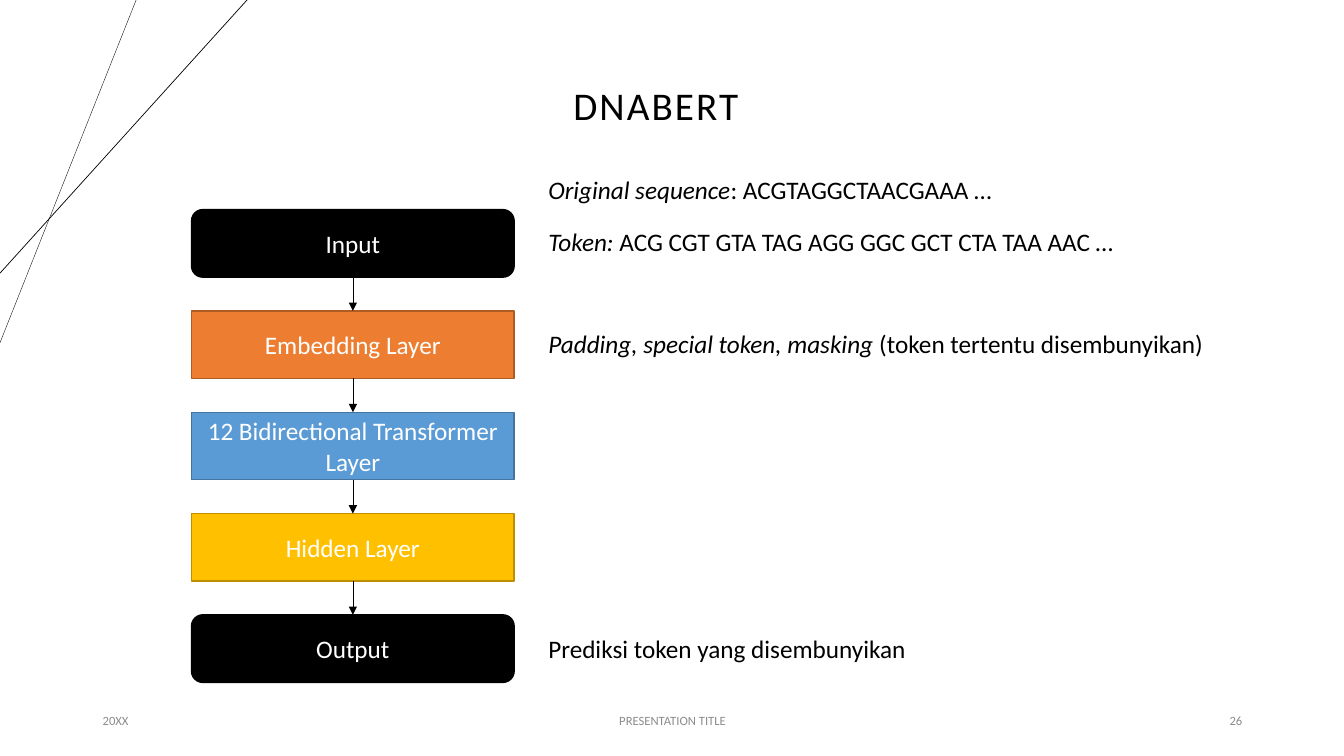
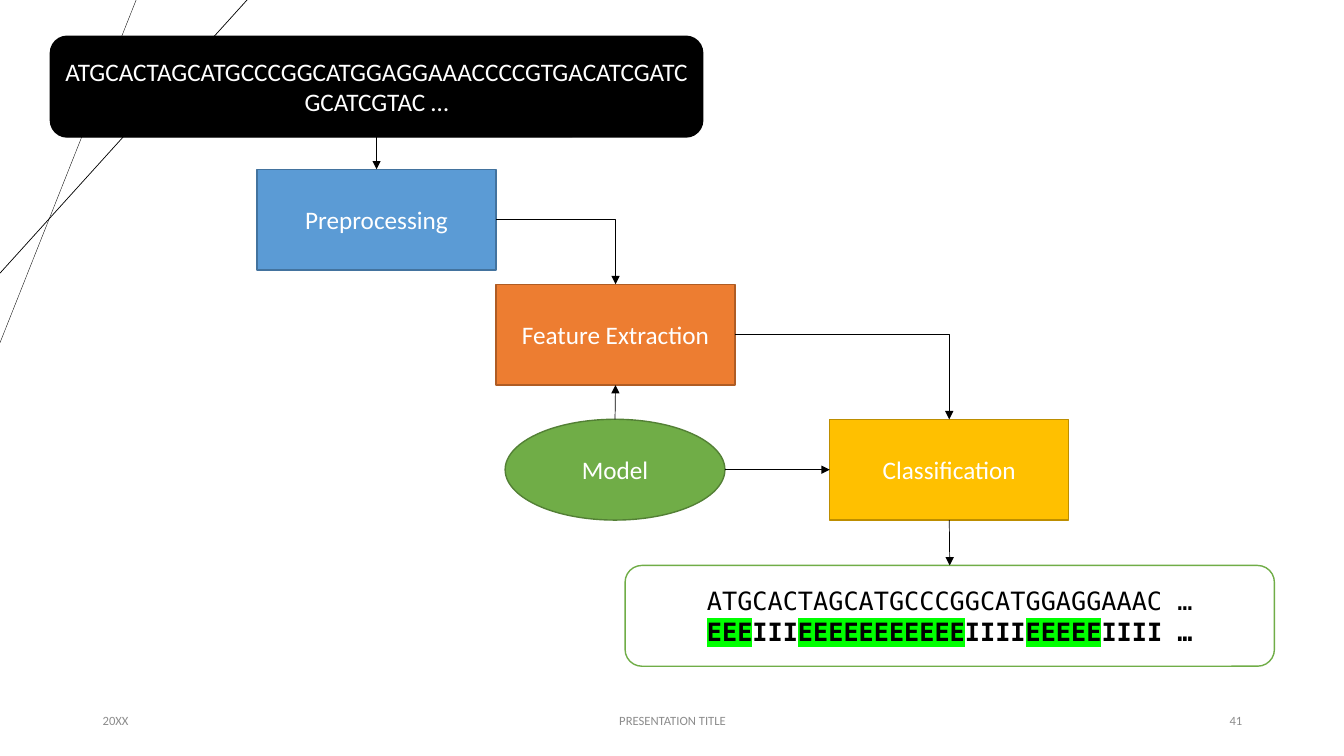
from lxml import etree
from pptx import Presentation
from pptx.dml.color import RGBColor
from pptx.enum import shapes, text
from pptx.oxml import ns
from pptx.util import Inches, Pt

# Shared style
BLACK = RGBColor(0x00, 0x00, 0x00)
WHITE = RGBColor(0xFF, 0xFF, 0xFF)
GREY = RGBColor(0x8C, 0x8C, 0x8C)
ORANGE = RGBColor(0xED, 0x7D, 0x31)
BLUE = RGBColor(0x5B, 0x9B, 0xD5)
GOLD = RGBColor(0xFF, 0xC0, 0x00)
GREEN = RGBColor(0x70, 0xAD, 0x47)
EDGES = {
    BLACK: BLACK,
    ORANGE: RGBColor(0xAF, 0x5C, 0x24),
    BLUE: RGBColor(0x43, 0x73, 0x9E),
    GOLD: RGBColor(0xBD, 0x8E, 0x00),
    GREEN: RGBColor(0x53, 0x80, 0x35),
    WHITE: GREEN,
}
MARK = "00FF00"
SANS, MONO = "Calibri", "DejaVu Sans Mono"
LEFT, CENTER, RIGHT = text.PP_ALIGN.LEFT, text.PP_ALIGN.CENTER, text.PP_ALIGN.RIGHT
RECT = shapes.MSO_SHAPE.RECTANGLE
ROUND = shapes.MSO_SHAPE.ROUNDED_RECTANGLE
OVAL = shapes.MSO_SHAPE.OVAL
TOP_SIDE, LEFT_SIDE, BOTTOM_SIDE, RIGHT_SIDE = range(4)

# Corner lines and footer fields of every slide
CORNER_LINES = [((1.35, 0), (0, 3.4), 0.25), ((2.45, 0), (0, 2.71), 0.5)]
FOOTER = [(0.92, 3, LEFT, "20XX"), (4.42, 4.5, CENTER, "PRESENTATION TITLE")]
NUMBER_FIELD = (9.42, 3, RIGHT)

# Slide 1: layers from top to bottom, and captions as (top, spans)
LAYERS = [
    ("Input", ROUND, BLACK),
    ("Embedding Layer", RECT, ORANGE),
    ("12 Bidirectional Transformer Layer", RECT, BLUE),
    ("Hidden Layer", RECT, GOLD),
    ("Output", ROUND, BLACK),
]
FIRST_TOP, LAST_TOP = 2.08, 6.1
ITALIC = {"italic": True}
CAPTIONS = [
    (1.68, [("Original sequence", ITALIC), (": ACGTAGGCTAACGAAA …", {})]),
    (2.2, [("Token: ", ITALIC), ("ACG CGT GTA TAG AGG GGC GCT CTA TAA AAC …", {})]),
    (3.21, [("Padding, special token, masking ", ITALIC),
            ("(token tertentu disembunyikan)", {})]),
    (6.23, [("Prediksi token yang disembunyikan", {})]),
]

# Slide 2: flow steps as name: (left, top, width, shape, fill, text)
STEPS = {
    "sequence": (0.5, 0.36, 6.47, ROUND, BLACK,
                 "ATGCACTAGCATGCCCGGCATGGAGGAAACCCCGTGACATCGATCGCATCGTAC …"),
    "preprocessing": (2.55, 1.68, 2.37, RECT, BLUE, "Preprocessing"),
    "extraction": (4.92, 2.82, 2.37, RECT, ORANGE, "Feature Extraction"),
    "model": (5.01, 4.16, 2.18, OVAL, GREEN, "Model"),
    "classification": (8.23, 4.16, 2.37, RECT, GOLD, "Classification"),
    "result": (6.2, 5.61, 6.44, ROUND, WHITE, None),
}
FLOW = [
    ("sequence", BOTTOM_SIDE, "preprocessing", TOP_SIDE),
    ("preprocessing", RIGHT_SIDE, "extraction", TOP_SIDE),
    ("model", TOP_SIDE, "extraction", BOTTOM_SIDE),
    ("model", RIGHT_SIDE, "classification", LEFT_SIDE),
    ("extraction", RIGHT_SIDE, "classification", TOP_SIDE),
    ("classification", BOTTOM_SIDE, "result", TOP_SIDE),
]
BASES = "ATGCACTAGCATGCCCGGCATGGAGGAAAC …"
LABELS = ["EEE", "III", "EEEEEEEEEEE", "IIII", "EEEEE", "IIII …"]


def add_span(para, words, size=18, font=SANS, color=BLACK, bold=False,
             italic=False, spacing=None, highlight=None):
    span = para.add_run()
    span.text = words
    span.font.size, span.font.name = Pt(size), font
    span.font.bold, span.font.italic = bold, italic
    span.font.color.rgb = color
    props = span.font._element
    if spacing:
        props.set("spc", str(int(spacing * 100)))
    if highlight:
        mark = etree.Element(ns.qn("a:highlight"))
        etree.SubElement(mark, ns.qn("a:srgbClr"), val=highlight)
        props.find(ns.qn("a:solidFill")).addnext(mark)


def add_text(page, left, top, width, spans, align=LEFT,
             anchor=text.MSO_ANCHOR.TOP):
    frame = page.shapes.add_textbox(
        Inches(left), Inches(top), Inches(width), Inches(0.4)).text_frame
    frame.word_wrap = True
    frame.vertical_anchor = anchor
    frame.paragraphs[0].alignment = align
    for words, style in spans:
        add_span(frame.paragraphs[0], words, **style)


def add_box(page, kind, left, top, width, height, fill, label):
    box = page.shapes.add_shape(
        kind, Inches(left), Inches(top), Inches(width), Inches(height))
    box.shadow.inherit = False
    box.fill.solid()
    box.fill.fore_color.rgb = fill
    box.line.color.rgb = EDGES[fill]
    box.line.width = Pt(1)
    box.text_frame.vertical_anchor = text.MSO_ANCHOR.MIDDLE
    box.text_frame.paragraphs[0].alignment = CENTER
    if label:
        add_span(box.text_frame.paragraphs[0], label, color=WHITE)
    return box


def add_line(page, start, end, width=0.5, kind=shapes.MSO_CONNECTOR.STRAIGHT):
    line = page.shapes.add_connector(kind, *start, *end)
    line.line.color.rgb = BLACK
    line.line.width = Pt(width)
    etree.SubElement(line._element.spPr, ns.qn("a:effectLst"))
    return line


def side_point(box, side):
    x, y = box.left + box.width // 2, box.top + box.height // 2
    return [(x, box.top), (box.left, y), (x, box.top + box.height),
            (box.left + box.width, y)][side]


def add_arrow(page, source, source_side, target, target_side):
    start, end = side_point(source, source_side), side_point(target, target_side)
    bent = source_side == RIGHT_SIDE and target_side == TOP_SIDE
    kind = shapes.MSO_CONNECTOR.ELBOW if bent else shapes.MSO_CONNECTOR.STRAIGHT
    arrow = add_line(page, start, end, kind=kind)
    props = arrow._element.spPr
    if bent:
        props.find(ns.qn("a:prstGeom")).set("prst", "bentConnector2")
    etree.SubElement(props.find(ns.qn("a:ln")), ns.qn("a:tailEnd"), type="triangle")
    # An ellipse numbers its connection sites differently
    if source.auto_shape_type != OVAL:
        arrow.begin_connect(source, source_side)
    arrow.end_connect(target, target_side)


def add_page(deck, layout, number):
    page = deck.slides.add_slide(deck.slide_layouts[layout])
    for start, end, width in CORNER_LINES:
        add_line(page, map(Inches, start), map(Inches, end), width)
    for left, width, align, words in FOOTER + [(*NUMBER_FIELD, number)]:
        add_text(page, left, 6.95, width, [(words, {"size": 9, "color": GREY})],
                 align, text.MSO_ANCHOR.MIDDLE)
    return page


def build_layers(deck):
    page = add_page(deck, 5, "26")
    title = page.shapes.title
    title.left, title.top = Inches(1.9), Inches(0.34)
    title.width, title.height = Inches(9.21), Inches(1.45)
    title.text_frame.vertical_anchor = text.MSO_ANCHOR.MIDDLE
    para = title.text_frame.paragraphs[0]
    para.alignment, para.line_spacing = CENTER, 0.9
    add_span(para, "DNABERT", size=28, spacing=1.5)

    # Stack of layers
    pitch = (LAST_TOP - FIRST_TOP) / (len(LAYERS) - 1)
    boxes = [add_box(page, kind, 1.9, FIRST_TOP + i * pitch, 3.2, 0.67, fill, label)
             for i, (label, kind, fill) in enumerate(LAYERS)]
    for upper, lower in zip(boxes, boxes[1:]):
        add_arrow(page, upper, BOTTOM_SIDE, lower, TOP_SIDE)

    # Captions
    for top, spans in CAPTIONS:
        add_text(page, 5.34, top, 7.2, spans)


def build_flow(deck):
    page = add_page(deck, 6, "41")
    boxes = {name: add_box(page, kind, left, top, width, 1, fill, label)
             for name, (left, top, width, kind, fill, label) in STEPS.items()}
    for source, source_side, target, target_side in FLOW:
        add_arrow(page, boxes[source], source_side, boxes[target], target_side)

    # Labelled sequence
    frame = boxes["result"].text_frame
    add_span(frame.paragraphs[0], BASES, font=MONO)
    para = frame.add_paragraph()
    para.alignment = CENTER
    for label in LABELS:
        add_span(para, label, font=MONO, bold=True,
                 highlight=MARK if label.startswith("E") else None)


def main():
    deck = Presentation()
    deck.slide_width, deck.slide_height = Inches(13.33), Inches(7.5)
    build_layers(deck)
    build_flow(deck)
    deck.save("out.pptx")


if __name__ == "__main__":
    main()
